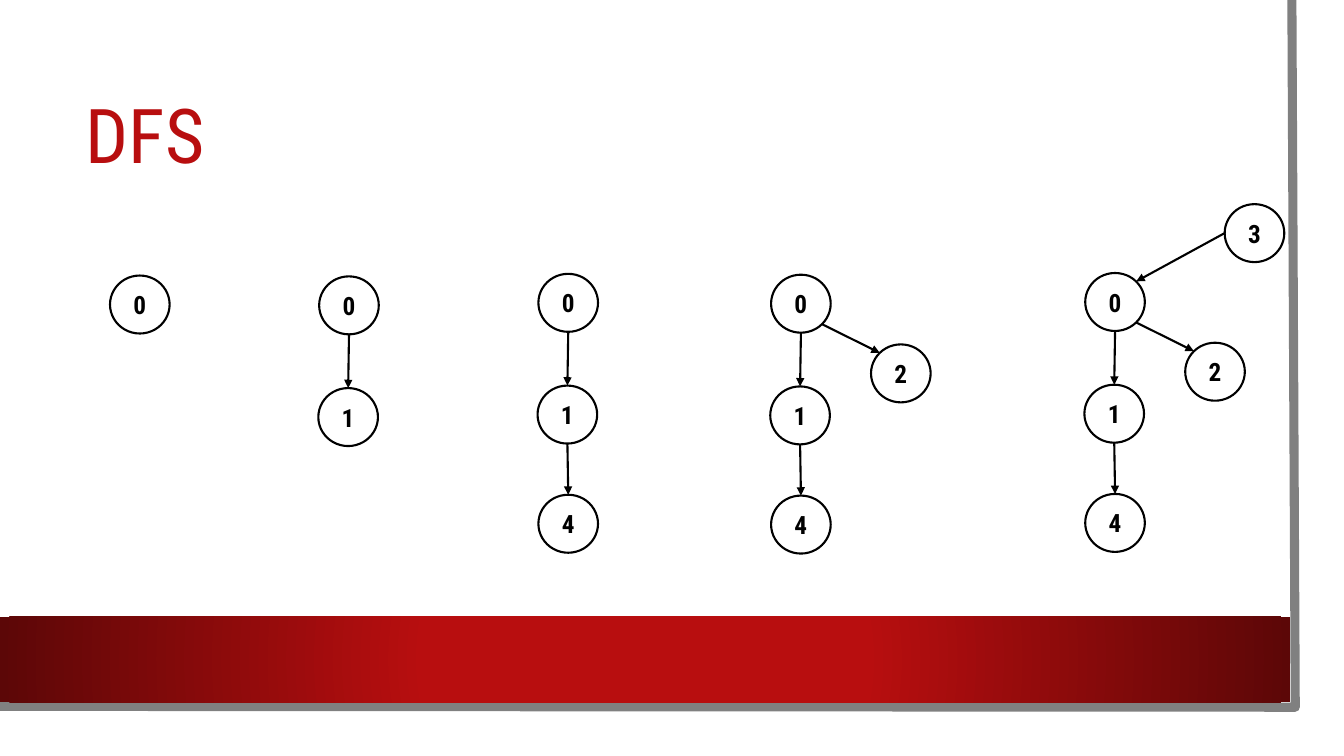
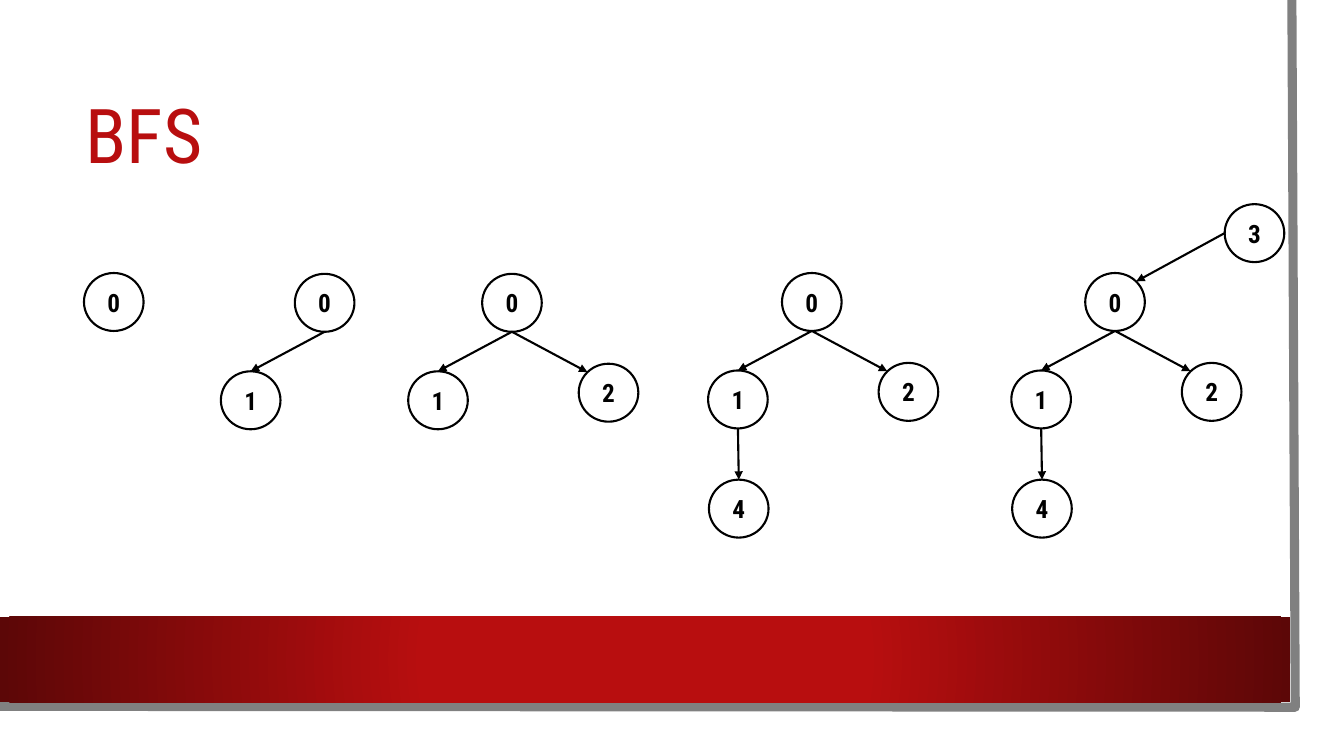
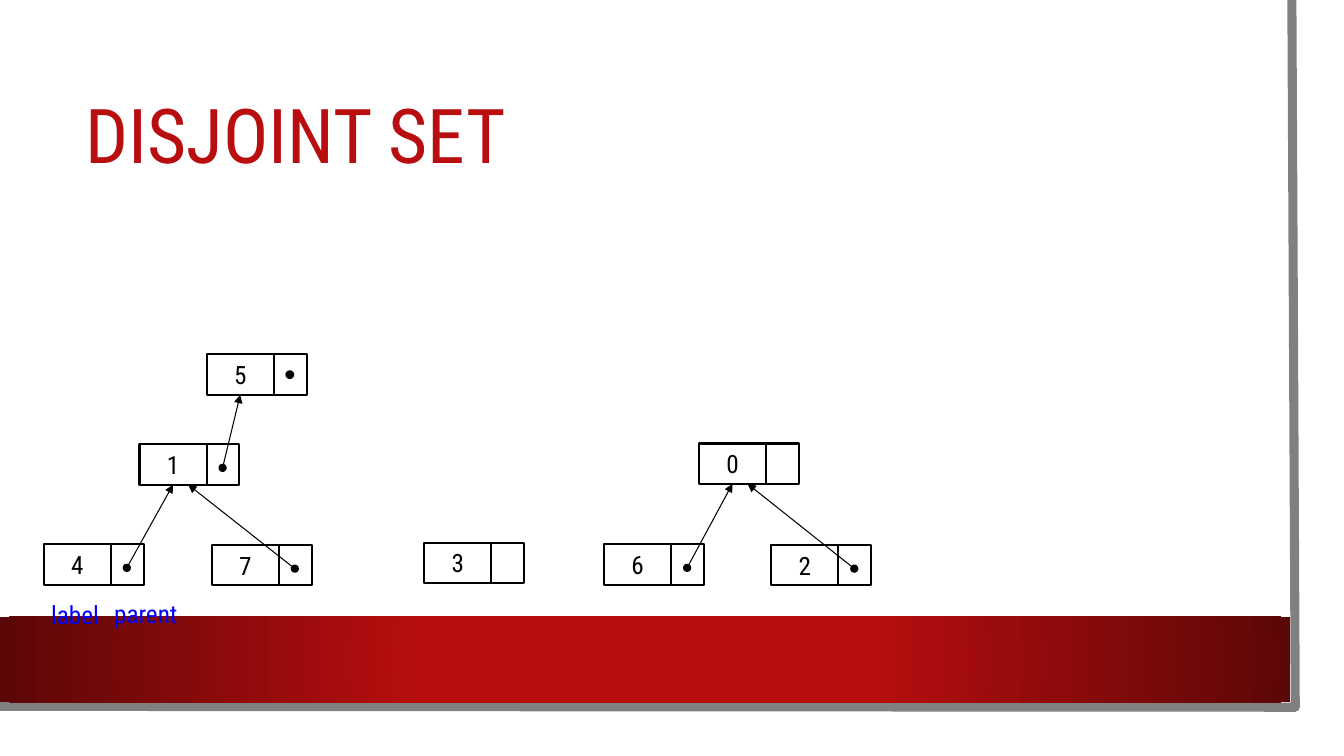
"""Draw DFS, BFS and disjoint-set diagrams on a shared red-banded slide frame."""
from dataclasses import dataclass
from typing import Any

from lxml.etree import SubElement
from pptx import Presentation
from pptx.dml.color import RGBColor
from pptx.enum.shapes import MSO_CONNECTOR as Wire, MSO_SHAPE as Form
from pptx.enum.text import MSO_ANCHOR as Anchor, MSO_AUTO_SIZE as Fit, PP_ALIGN as Align
from pptx.oxml import parse_xml
from pptx.oxml.ns import nsdecls, qn
from pptx.util import Inches, Pt

COLS, ROWS = 160, 90
WIDE, HIGH = Inches(13.33), Inches(7.5)
RED, DARK, GRAY, BLACK, WHITE, BLUE = "B80E0F", "5C0707", "808080", "000000", "FFFFFF", "0000FF"
FACE = "Roboto Condensed"
HEAD = {"name": FACE, "size": Pt(54)}
BOLD = {"name": FACE, "size": Pt(18), "bold": True}
BODY = {"name": FACE, "size": Pt(18), "bold": False}
NODE_W, NODE_H = 7.1, 6.9
LABEL_W, LINK_W, CELL_H = 8, 3.9, 4.8
PIN_X, PIN_Y, DOT = 9.9, 2.8, 0.8
Spot = tuple[float, float]
TOP, LOW, LEFT = (0, -1), (0, 1), (-1, 0)
NE, SE, NW = (0.71, -0.71), (0.71, 0.71), (-0.71, -0.71)


@dataclass(frozen=True)
class Tree:
    x: float
    y: float
    names: str


@dataclass(frozen=True)
class Edge:
    start: str
    end: str
    out: Spot
    into: Spot


@dataclass(frozen=True)
class Plan:
    title: str
    shift: dict[str, Spot]
    edges: list[Edge]
    trees: list[Tree]


@dataclass(frozen=True)
class Cell:
    name: str
    x: float
    y: float


@dataclass(frozen=True)
class Link:
    start: str
    end: str
    shift: float = 0


STEMS = [Edge("0", "1", LOW, TOP), Edge("1", "4", LOW, TOP), Edge("3", "0", LEFT, NE)]
PLANS = [
    Plan("DFS",
         {"0": (0, 0), "1": (-0.1, 13.3), "4": (0, 26.3), "2": (11.9, 8.3), "3": (16.6, -8.2)},
         [*STEMS, Edge("0", "2", SE, NW)],
         [Tree(13.1, 32.8, "0"), Tree(38, 32.9, "01"), Tree(64.1, 32.6, "014"),
          Tree(91.8, 32.7, "0142"), Tree(129.2, 32.5, "01423")]),
    Plan("BFS",
         {"0": (0, 0), "1": (-8.8, 11.6), "4": (-8.7, 24.6), "2": (11.5, 10.7), "3": (16.6, -8.2)},
         [*STEMS, Edge("0", "2", LOW, NW)],
         [Tree(10, 32.5, "0"), Tree(35.1, 32.6, "01"), Tree(57.4, 32.6, "012"),
          Tree(93.1, 32.5, "0142"), Tree(129.2, 32.5, "01423")]),
]
CELLS = [
    Cell("1", 16.6, 52.9), Cell("5", 24.6, 42.2), Cell("4", 5.2, 64.8), Cell("7", 25.2, 64.9),
    Cell("0", 83.2, 52.8), Cell("6", 71.9, 64.8), Cell("2", 91.8, 64.9), Cell("3", 50.5, 64.6),
]
LINKS = [Link("1", "5"), Link("4", "1"), Link("7", "1", 1.8), Link("6", "0"), Link("2", "0", 1.8)]


def col(n: float) -> int:
    """Return the length of n grid columns."""
    return round(WIDE * n / COLS)


def row(n: float) -> int:
    """Return the length of n grid rows."""
    return round(HIGH * n / ROWS)


def box(x: float, y: float, w: float, h: float) -> tuple[int, int, int, int]:
    """Return a grid box as lengths."""
    return col(x), row(y), col(w), row(h)


def style(item: Any, form: dict[str, Any]) -> None:
    """Set attributes from a dict of format values."""
    for key, val in form.items():
        setattr(item, key, val)


def paint(fill: Any, tone: str) -> None:
    """Fill with one solid colour."""
    fill.solid()
    fill.fore_color.rgb = RGBColor.from_string(tone)


def write(shape: Any, text: str, font: dict[str, Any], tone: str, para: dict[str, Any]) -> None:
    """Put one formatted paragraph in a shape."""
    line = shape.text_frame.paragraphs[0]
    style(line, para)
    run = line.add_run()
    run.text = text
    style(run.font, font)
    paint(run.font.fill, tone)


def trim(shape: Any, fill: str = "", line: str = "", width: float = 1.5) -> Any:
    """Replace the default look of a shape."""
    shape.shadow.inherit = False
    for part, tone in ((shape.fill, fill), (shape.line.fill, line)):
        if tone:
            paint(part, tone)
        else:
            part.background()
    if line:
        shape.line.width = Pt(width)
    return shape


def mark(slide: Any, form: Form, area: tuple, text: str = "", font: dict = BODY, fill: str = "") -> Any:
    """Draw an outlined shape with a centred label."""
    shape = trim(slide.shapes.add_shape(form, *area), fill, BLACK)
    if text:
        shape.text_frame.vertical_anchor = Anchor.MIDDLE
        write(shape, text, font, BLACK, {"alignment": Align.CENTER})
    return shape


def arrow(slide: Any, start: Spot, end: Spot, width: float, head: str = "") -> Any:
    """Draw a straight arrow between two grid points."""
    wire = slide.shapes.add_connector(
        Wire.STRAIGHT, col(start[0]), row(start[1]), col(end[0]), row(end[1]))
    paint(wire.line.fill, BLACK)
    wire.line.width = Pt(width)
    prop = wire.element.spPr
    line = prop.find(qn("a:ln"))
    if head:
        SubElement(line, qn("a:headEnd"), type=head)
    SubElement(line, qn("a:tailEnd"), type="triangle")
    SubElement(prop, qn("a:effectLst"))
    return wire


def frame(slide: Any, layout: Any) -> None:
    """Build the page, edge and band once and move them to the layout."""
    page = trim(slide.shapes.add_shape(Form.RECTANGLE, *box(0, 0, 157.2, 87.2)), WHITE)
    pen = slide.shapes.build_freeform(col(153.8), 0, scale=1.0)
    pen.add_line_segments([(col(154.2), row(84.2)), (col(-0.4), row(84.1))], close=False)
    edge = trim(pen.convert_to_shape(), "", GRAY, 6.5)
    band = trim(slide.shapes.add_shape(Form.RECTANGLE, *box(0, 73.4, 153.6, 10.2)), RED)
    prop = band.element.spPr
    prop.replace(prop.find(qn("a:solidFill")), parse_xml(
        f'<a:gradFill {nsdecls("a")} rotWithShape="1"><a:gsLst>'
        f'<a:gs pos="34000"><a:srgbClr val="{RED}"/></a:gs>'
        f'<a:gs pos="100000"><a:srgbClr val="{DARK}"/></a:gs></a:gsLst>'
        '<a:path path="circle"><a:fillToRect l="50000" t="50000" r="50000" b="50000"/></a:path>'
        '</a:gradFill>'))
    for spot, shape in enumerate((page, edge, band), 2):
        shape.element.xpath(".//p:cNvPr")[0].set("id", str(100 + spot))
        layout.shapes.element.insert(spot, shape.element)


def start(deck: Any, text: str) -> Any:
    """Add a slide with its title."""
    layout = deck.slide_layouts[5]
    slide = deck.slides.add_slide(layout)
    if len(deck.slides) == 1:
        frame(slide, layout)
    title = slide.shapes.title
    style(title, dict(zip(("left", "top", "width", "height"), box(9, 9, 136.4, 15.1))))
    style(title.text_frame, {"vertical_anchor": Anchor.MIDDLE, "auto_size": Fit.NONE, "word_wrap": True})
    write(title, text, HEAD, RED, {"alignment": Align.LEFT, "line_spacing": 0.9})
    return slide


def grow(slide: Any, plan: Plan, tree: Tree) -> None:
    """Draw one search tree with its arrows."""
    spots = {n: (tree.x + plan.shift[n][0], tree.y + plan.shift[n][1]) for n in tree.names}
    nodes = {n: mark(slide, Form.OVAL, box(*at, NODE_W, NODE_H), n, BOLD) for n, at in spots.items()}

    def rim(name: str, way: Spot) -> Spot:
        """Return a point on the rim of a node."""
        x, y = spots[name]
        return x + NODE_W * (1 + way[0]) / 2, y + NODE_H * (1 + way[1]) / 2

    for edge in plan.edges:
        if edge.start in nodes and edge.end in nodes:
            wire = arrow(slide, rim(edge.start, edge.out), rim(edge.end, edge.into), 1.5)
            if edge.into == TOP:
                wire.end_connect(nodes[edge.end], 0)


def sets(slide: Any) -> None:
    """Draw the disjoint-set records and their parent links."""
    cells = {cell.name: cell for cell in CELLS}
    boxes = {}
    for cell in CELLS:
        boxes[cell.name] = mark(
            slide, Form.RECTANGLE, box(cell.x, cell.y, LABEL_W, CELL_H), cell.name)
        mark(slide, Form.RECTANGLE, box(cell.x + LABEL_W, cell.y, LINK_W, CELL_H))
    for link in LINKS:
        kid, top = cells[link.start], cells[link.end]
        wire = arrow(slide, (kid.x + PIN_X, kid.y + PIN_Y),
                     (top.x + LABEL_W / 2 + link.shift, top.y + CELL_H), 0.75, "oval")
        if not link.shift:
            wire.end_connect(boxes[link.end], 2)
    root = cells["5"]
    mark(slide, Form.OVAL,
         box(root.x + PIN_X - DOT / 2, root.y + (CELL_H - DOT) / 2, DOT, DOT), fill=BLACK)
    for text, x, y, w in (("parent", 12.4, 70.6, 10.9), ("label", 4.9, 70.8, 9.5)):
        note = slide.shapes.add_textbox(*box(x, y, w, CELL_H))
        style(note.text_frame, {"word_wrap": True, "auto_size": Fit.SHAPE_TO_FIT_TEXT})
        write(note, text, BODY, BLUE, {"alignment": Align.LEFT})


def main() -> None:
    """Build and save the deck."""
    deck = Presentation()
    style(deck, {"slide_width": WIDE, "slide_height": HIGH})
    for plan in PLANS:
        slide = start(deck, plan.title)
        for tree in plan.trees:
            grow(slide, plan, tree)
    sets(start(deck, "DISJOINT SET"))
    deck.save("out.pptx")


if __name__ == "__main__":
    main()
